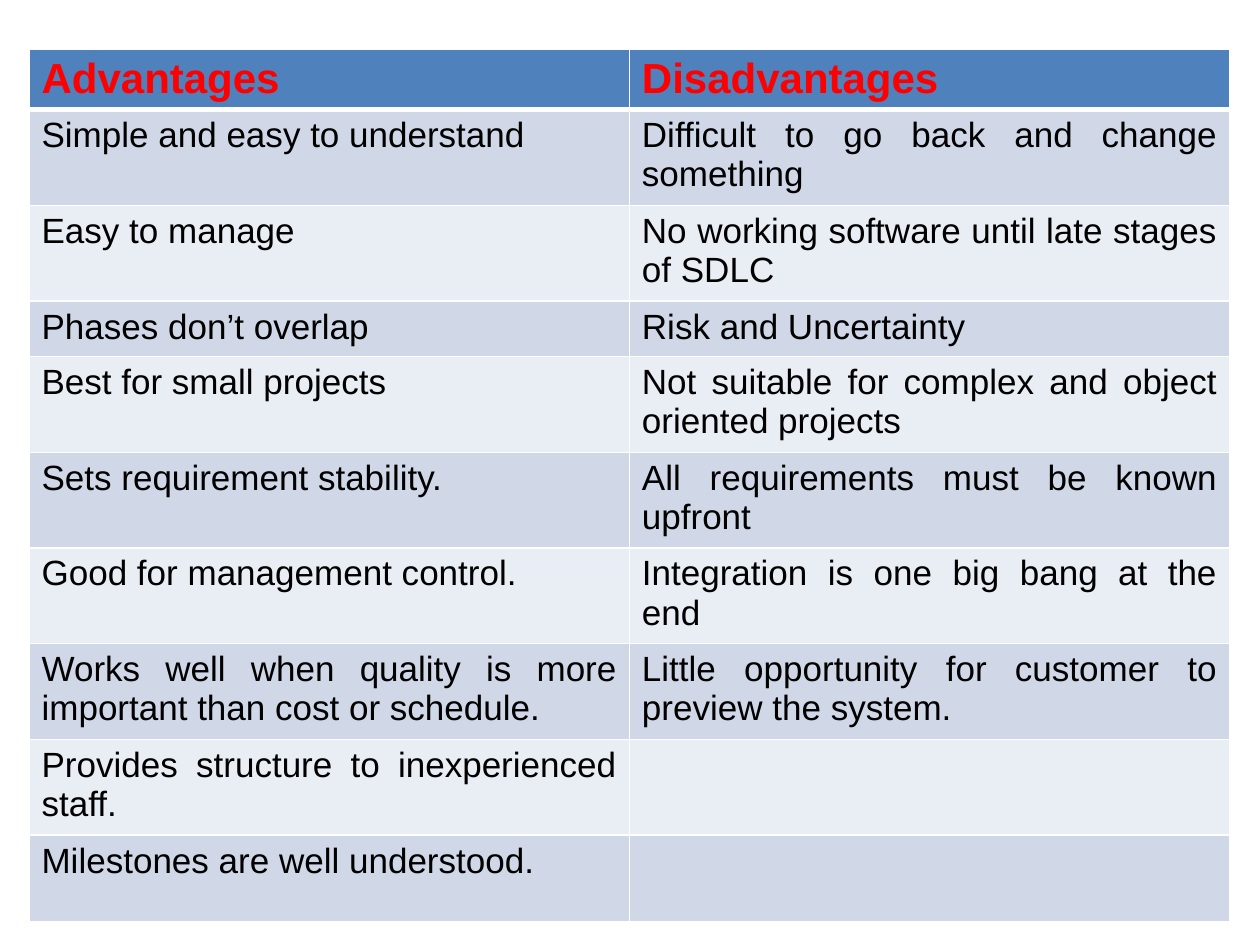
from dataclasses import dataclass

from lxml.etree import SubElement
from pptx import Presentation
from pptx.dml.color import RGBColor as RGB
from pptx.enum.text import PP_ALIGN as Align
from pptx.oxml.ns import qn
from pptx.util import Inches, Pt

HEADINGS = ("Advantages", "Disadvantages")
POINTS = [
    ("Simple and easy to understand", "Difficult to go back and change something"),
    ("Easy to manage", "No working software until late stages of SDLC"),
    ("Phases don’t overlap", "Risk and Uncertainty"),
    ("Best for small projects", "Not suitable for complex and object oriented projects"),
    ("Sets requirement stability.", "All requirements must be known upfront"),
    ("Good for management control.", "Integration is one big bang at the end"),
    ("Works well when quality is more important than cost or schedule.",
     "Little opportunity for customer to preview the system."),
    ("Provides structure to inexperienced staff.", ""),
    ("Milestones are well understood.", ""),
]
HEADING_HEIGHT, ONE_LINE, TWO_LINES, LAST_HEIGHT = 0.48, 0.44, 0.76, 0.69
LINE_CHARS = 32
LEFT, TOP, WIDTH = 0.23, 0.39, 9.53


@dataclass(frozen=True)
class Theme:
    font: str = "Arial"
    heading_size: int = 24
    point_size: int = 20
    heading_text: str = "FF0000"
    point_text: str = "000000"
    heading_fill: str = "4F81BD"
    bands: tuple = ("D0D8E8", "E9EDF4")
    border: str = "FFFFFF"
    border_width: int = 1
    heading_rule: int = 3


THEME = Theme()


def point_height(index):
    if index == len(POINTS) - 1:
        return LAST_HEIGHT
    longest = max(map(len, POINTS[index]))
    return TWO_LINES if longest > LINE_CHARS else ONE_LINE


def draw_borders(cell, top, bottom):
    properties = cell._tc.get_or_add_tcPr()
    widths = {"L": THEME.border_width, "R": THEME.border_width, "T": top, "B": bottom}
    for side, width in widths.items():
        line = SubElement(properties, qn(f"a:ln{side}"), w=str(Pt(width)))
        SubElement(SubElement(line, qn("a:solidFill")), qn("a:srgbClr"), val=THEME.border)


def fill_cell(cell, text, row):
    heading = row == 0
    top = THEME.heading_rule if row == 1 else THEME.border_width
    bottom = THEME.heading_rule if heading else THEME.border_width
    draw_borders(cell, top, bottom)
    cell.fill.solid()
    band = THEME.bands[(row - 1) % 2]
    cell.fill.fore_color.rgb = RGB.from_string(THEME.heading_fill if heading else band)
    if not text:
        return
    paragraph = cell.text_frame.paragraphs[0]
    paragraph.alignment = Align.JUSTIFY
    run = paragraph.add_run()
    run.text = text
    run.font.name = THEME.font
    run.font.bold = heading
    run.font.size = Pt(THEME.heading_size if heading else THEME.point_size)
    run.font.color.rgb = RGB.from_string(THEME.heading_text if heading else THEME.point_text)


def main():
    deck = Presentation()
    deck.slide_width, deck.slide_height = Inches(10), Inches(7.5)
    slide = deck.slides.add_slide(deck.slide_layouts[6])
    heights = [HEADING_HEIGHT] + [point_height(i) for i in range(len(POINTS))]
    comparison = slide.shapes.add_table(
        len(heights), len(HEADINGS),
        Inches(LEFT), Inches(TOP), Inches(WIDTH), Inches(sum(heights))).table
    for row, (texts, height) in enumerate(zip([HEADINGS, *POINTS], heights)):
        comparison.rows[row].height = Inches(height)
        for column, text in enumerate(texts):
            fill_cell(comparison.cell(row, column), text, row)
    deck.save("out.pptx")


if __name__ == "__main__":
    main()
